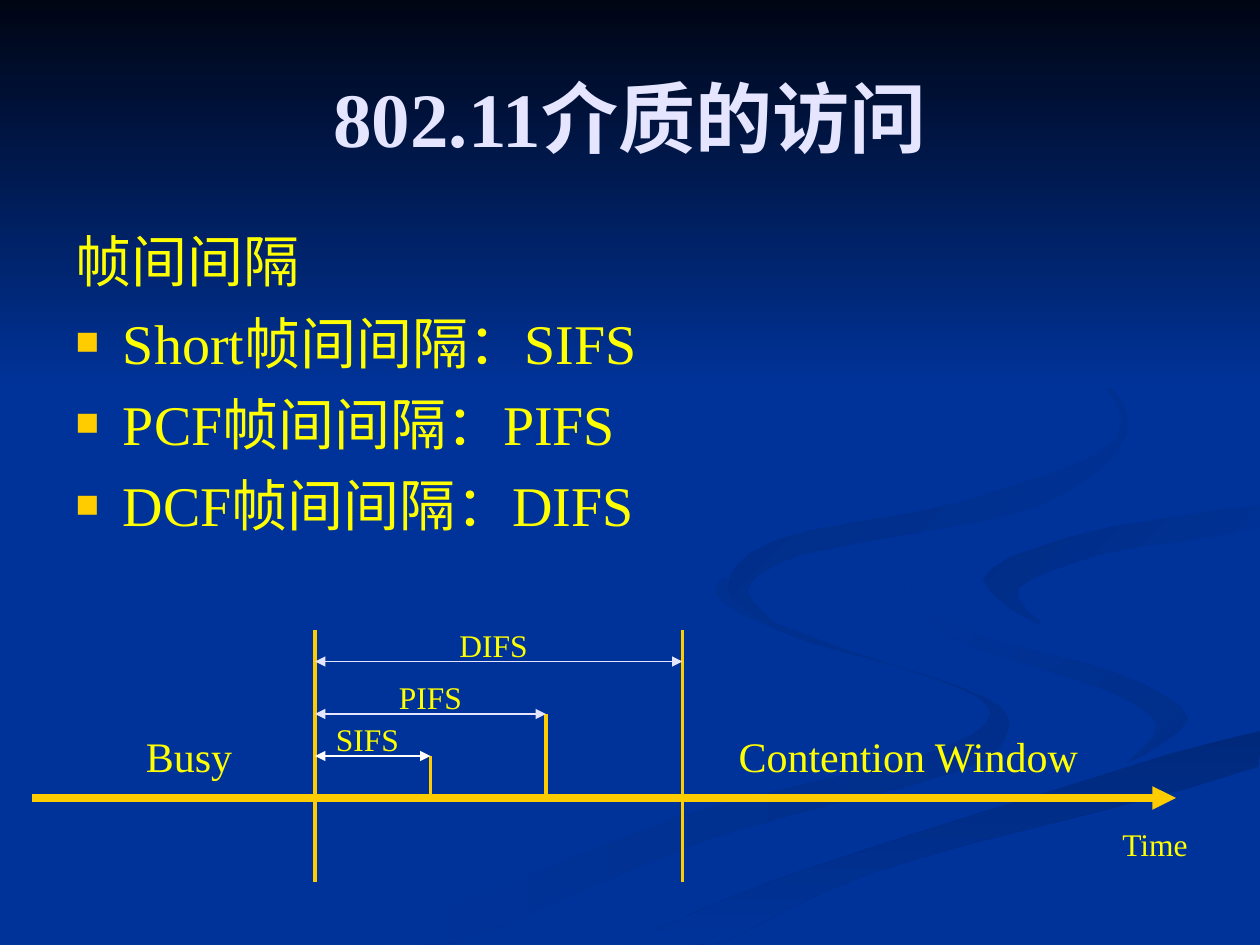
from collections import namedtuple

from lxml import etree
from pptx import Presentation
from pptx.dml import color
from pptx.enum import shapes, text
from pptx.oxml import ns
from pptx.util import Pt

Box = namedtuple("Box", "left top width height")
GOLD, YELLOW, LAVENDER, WHITE, BLUE = "FFCC00", "FFFF00", "E5E5FF", "FFFFFF", "003399"
INSETS = {"margin_left": Pt(7.2), "margin_right": Pt(7.2),
          "margin_top": Pt(3.6), "margin_bottom": Pt(3.6)}
RIBBONS = [
    ("002E8A", BLUE, 180, [
        (562, 398), (491, 374), (428, 349), (414, 330), (412, 343), (454, 364),
        (534, 388), (566, 408), (523, 433), (388, 467), (216, 539), (260, 539),
        (406, 479), (544, 442), (576, 418)]),
    ("002E8A", BLUE, 225, [
        (679, 411), (639, 385), (557, 362), (521, 334), (544, 364), (634, 395),
        (661, 415), (644, 436)]),
    ("00297C", BLUE, 90, [
        (362, 539), (411, 539), (500, 498), (719, 438), (719, 418), (598, 453), (454, 499)]),
    (BLUE, "002C85", 225, [
        (562, 331), (595, 357), (582, 336), (632, 316), (719, 302), (719, 289), (611, 307)]),
    (BLUE, "002B81", 225, [
        (492, 310), (594, 289), (644, 248), (622, 210), (549, 168), (616, 205), (638, 251),
        (549, 287), (443, 309), (416, 337), (448, 360), (427, 338), (449, 320)]),
]


def paint(target, value):
    target.rgb = color.RGBColor.from_string(value)


def apply(target, values):
    for name, value in values.items():
        setattr(target, name, value)


def place(shape, box):
    apply(shape, {name: Pt(value) for name, value in box._asdict().items()})


def add_node(parent, tag, **attributes):
    return etree.SubElement(parent, ns.qn(tag), attributes)


def write(para, words, size, ink, bold=False):
    span = para.add_run()
    span.text = words
    apply(span.font, {"name": "Times New Roman", "size": Pt(size), "bold": bold})
    paint(span.font.color, ink)


def add_label(page, words, size, box):
    label = page.shapes.add_textbox(*map(Pt, box))
    apply(label.text_frame, {"word_wrap": True, **INSETS})
    para = label.text_frame.paragraphs[0]
    para.alignment = text.PP_ALIGN.CENTER
    write(para, words, size, YELLOW)


def add_line(page, start, end, ink, weight, arrows=()):
    line = page.shapes.add_connector(
        shapes.MSO_CONNECTOR.STRAIGHT, *map(Pt, (*start, *end)))
    line.line.width = Pt(weight)
    paint(line.line.color, ink)
    for arrow in arrows:
        add_node(line.line._get_or_add_ln(), arrow, type="triangle")
    add_node(line._element.spPr, "a:effectLst")


def smooth(knots, box, steps=4):
    curve = []
    for index in range(len(knots)):
        near = [knots[(index + shift) % len(knots)] for shift in (-1, 0, 1, 2)]
        for step in range(steps):
            t = step / steps
            x, y = (b + t / 2 * (c - a + t * (2 * a - 5 * b + 4 * c - d
                                              + t * (3 * b - a - 3 * c + d)))
                    for a, b, c, d in zip(*near))
            curve.append((min(x, box.width), min(y, box.height)))
    return curve


def shade(page, shape, first, last, angle):
    shape.shadow.inherit = False
    shape.line.fill.background()
    shape.fill.gradient()
    shape.fill.gradient_angle = -angle % 360
    for stop, value in zip(shape.fill.gradient_stops, (first, last)):
        paint(stop.color, value)
    page.shapes.title._element.addprevious(shape._element)


def draw_background(page, box):
    page.background.fill.solid()
    paint(page.background.fill.fore_color, BLUE)
    for first, last, angle, knots in RIBBONS:
        curve = smooth(knots, box)
        builder = page.shapes.build_freeform(*curve[0], scale=Pt(1))
        builder.add_line_segments(curve[1:], close=True)
        ribbon = builder.convert_to_shape(Pt(box.left), Pt(box.top))
        shade(page, ribbon, first, last, angle)
    band = page.shapes.add_shape(
        shapes.MSO_SHAPE.RECTANGLE, *map(Pt, box._replace(height=222)))
    shade(page, band, "000514", BLUE, 90)


def fill_title(page, box):
    title = page.shapes.title
    place(title, box)
    apply(title.text_frame, {"vertical_anchor": text.MSO_ANCHOR.MIDDLE,
                             "auto_size": text.MSO_AUTO_SIZE.NONE, **INSETS})
    para = title.text_frame.paragraphs[0]
    para.alignment = text.PP_ALIGN.CENTER
    write(para, "802.11介质的访问", 44, LAVENDER, bold=True)


def fill_body(page, box):
    body = page.placeholders[1]
    place(body, box)
    frame = body.text_frame
    apply(frame, {"auto_size": text.MSO_AUTO_SIZE.NONE, **INSETS})
    lines = ["帧间间隔", "Short帧间间隔：SIFS", "PCF帧间间隔：PIFS", "DCF帧间间隔：DIFS"]
    for index, words in enumerate(lines):
        para = frame.add_paragraph() if index else frame.paragraphs[0]
        para.space_before = Pt(8)
        write(para, words, 32, YELLOW)
        props = para._p.get_or_add_pPr()
        props.set("marL", str(Pt(27)))
        props.set("indent", str(-Pt(27)))
        if index:
            add_node(add_node(props, "a:buClr"), "a:srgbClr", val=GOLD)
            add_node(props, "a:buSzPct", val="70000")
            add_node(props, "a:buFont", typeface="Times New Roman")
            add_node(props, "a:buChar", char="■")
        else:
            add_node(props, "a:buNone")


def draw_timeline(page, box):
    left, top, right, bottom = box.left, box.top, box.left + box.width, box.top + box.height
    axis, start = top + 96, left + 162
    add_line(page, (left, axis), (right, axis), GOLD, 4.5, ["a:tailEnd"])
    for edge in (start, left + 372):
        add_line(page, (edge, top), (edge, bottom), GOLD, 2.25)

    gaps = [("SIFS", 66, 72, WHITE), ("PIFS", 132, 48, LAVENDER), ("DIFS", 210, 18, LAVENDER)]
    for index, (name, width, drop, ink) in enumerate(gaps):
        end, level = start + width, top + drop
        if name != "DIFS":
            add_line(page, (end, level), (end, axis), GOLD, 2.25)
        add_line(page, (start, level), (end, level), ink, 1, ["a:headEnd", "a:tailEnd"])
        add_label(page, name, 18, Box(start + 36 * index, level - 24, 60, 29))

    add_label(page, "Busy", 24, Box(left + 42, top + 54, 96, 36))
    add_label(page, "Contention Window", 24, Box(left + 396, top + 54, 210, 36))
    add_label(page, "Time", 18, Box(right - 60, axis + 12, 96, 29))


def main():
    deck = Presentation()
    apply(deck, {"slide_width": Pt(720), "slide_height": Pt(540)})
    page = deck.slides.add_slide(deck.slide_layouts[1])
    draw_background(page, Box(0, 0, 720, 540))
    fill_title(page, Box(36, 21.6, 648, 90))
    fill_body(page, Box(36, 126, 648, 356.4))
    draw_timeline(page, Box(18, 360, 654, 144))
    deck.save("out.pptx")


if __name__ == "__main__":
    main()
